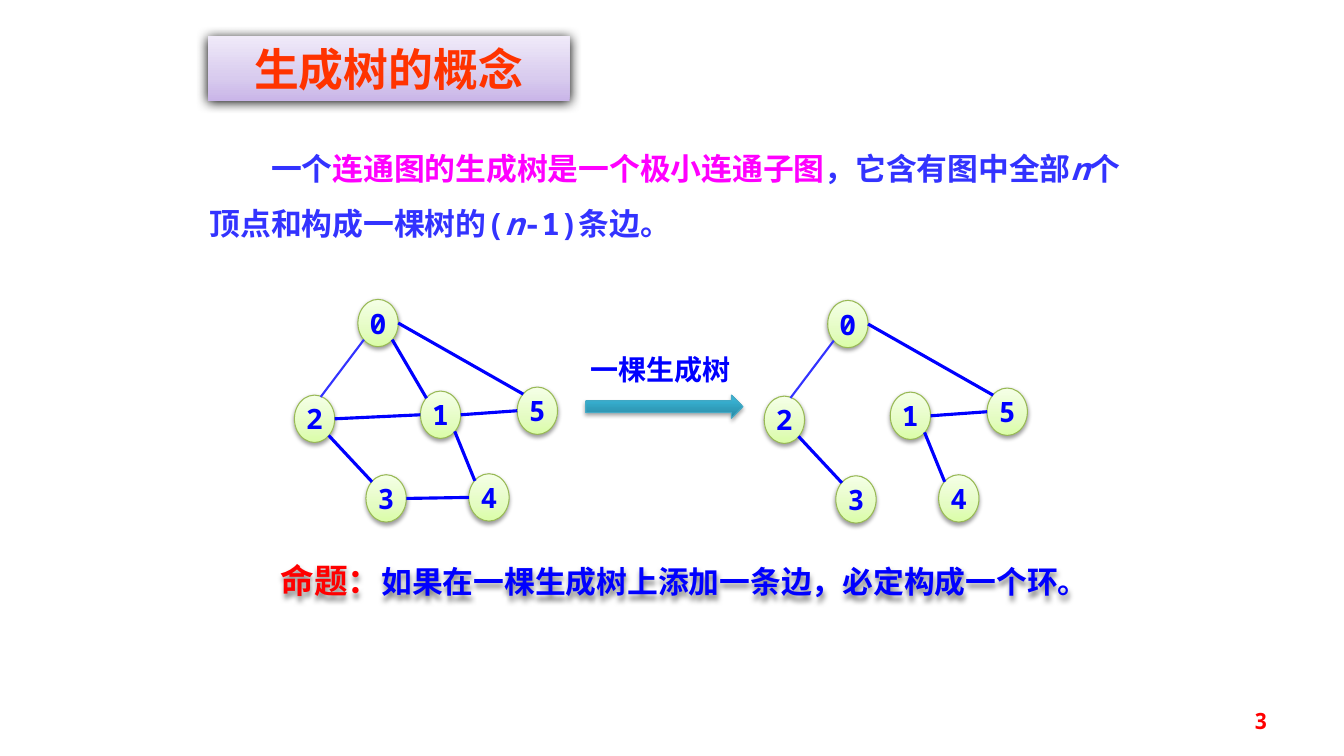
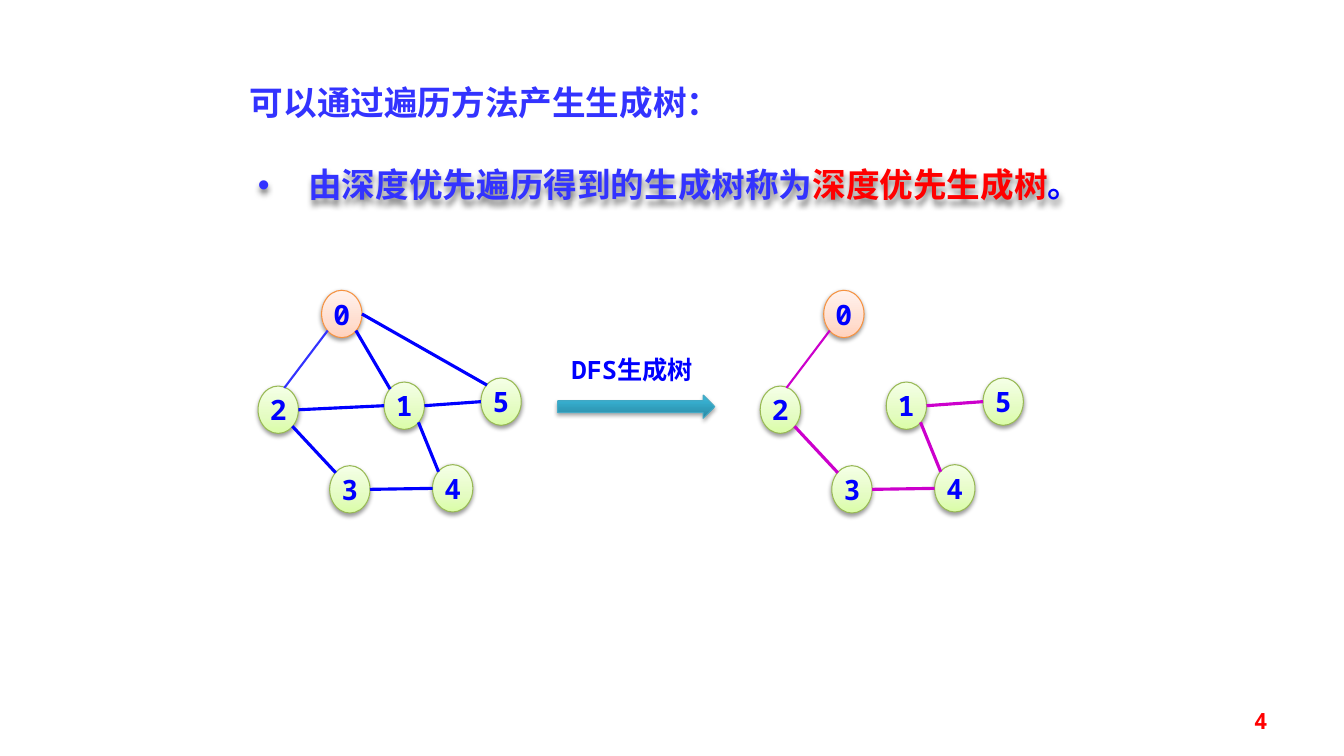
"""Build two slides on spanning trees and depth-first spanning trees."""
import pptx
import pptx.dml.color
import pptx.enum.shapes
import pptx.enum.text
import pptx.oxml
import pptx.oxml.ns
import pptx.util

Inches = pptx.util.Inches
Pt = pptx.util.Pt
rgb = pptx.dml.color.RGBColor.from_string
qn = pptx.oxml.ns.qn
SHAPE = pptx.enum.shapes.MSO_SHAPE
LINE = pptx.enum.shapes.MSO_CONNECTOR.STRAIGHT
ALIGN = pptx.enum.text.PP_ALIGN
MIDDLE = pptx.enum.text.MSO_ANCHOR.MIDDLE

SERIF, MONO, CJK = "Times New Roman", "Noto Sans Mono", "Noto Sans CJK SC"
BLUE, INDIGO, RED, MAGENTA, PURPLE = "0000FF", "3333FF", "FF0000", "FF00FF", "CC00CC"

LILAC = [(0, "C9B5E8"), (35, "D8CBEE"), (100, "F0EAF9")]
GREEN = [(0, "DAFDA7"), (35, "E4FCC2"), (100, "F5FFE7")]
ORANGE = [(0, "FFD2BD"), (35, "FFDED0"), (100, "FFF2ED")]
TEAL = [(0, "2A88A2"), (80, "37B1D2"), (100, "34B4D6")]
TITLE_SHADOW, NODE_SHADOW = (100, 8.5, 1), (38, 3.1, 1.6)
ARROW_SHADOW, TEXT_SHADOW = (35, 3.1, 1.8), (50, 4, 3)

NODE_W, NODE_H = 0.4, 0.47
NODES = [(0.63, 0), (1.25, 0.91), (0, 0.95), (0.71, 1.74), (1.73, 1.73), (2.21, 0.87)]
SITES = {"E": (1, 0.5), "W": (0, 0.5), "NW": (0.15, 0.15), "SW": (0.15, 0.85),
         "SE": (0.85, 0.85), "NNE": (0.65, 0.04)}
EDGES = {
    "0-2": ("SW", "NNE"), "2-3": ("SE", "NW"), "0-1": ("SE", "NW"), "2-1": ("E", "W"),
    "1-5": ("E", "W"), "1-4": ("SE", "NW"), "3-4": ("E", "W"), "0-5": ("E", "NW"),
}


def write(sp, runs, size, align=ALIGN.LEFT):
    """Fill a shape with one bold paragraph of (text, font, colour) runs."""
    tf = sp.text_frame
    tf.word_wrap = True
    tf.vertical_anchor = MIDDLE
    p = tf.paragraphs[0]
    p.alignment = align
    for text, font, colour in runs:
        r = p.add_run()
        r.text = text
        r.font.size = Pt(size)
        r.font.bold = True
        r.font.italic = text == "n"
        r.font.name = font
        r.font.color.rgb = rgb(colour)
        ea = pptx.oxml.parse_xml(f'<a:ea {pptx.oxml.ns.nsdecls("a")} typeface="{CJK}"/>')
        r._r.rPr.find(qn("a:latin")).addnext(ea)
    return p


def dress(sp, shadow, stops=None, line=None):
    """Give a shape its soft shadow, upward gradient and outline."""
    ns = pptx.oxml.ns.nsdecls("a")
    if stops:
        sp.fill.gradient()
        sp.fill.gradient_angle = 90
        gs_list = sp._element.spPr.find(".//" + qn("a:gsLst"))
        for gs in list(gs_list):
            gs_list.remove(gs)
        for pos, colour in stops:
            gs_list.append(pptx.oxml.parse_xml(
                f'<a:gs {ns} pos="{pos * 1000}"><a:srgbClr val="{colour}"/></a:gs>'))
    if line:
        sp.line.color.rgb = rgb(line)
        sp.line.width = Pt(0.75)
    else:
        sp.line.fill.background()
    sp.shadow.inherit = False
    alpha, blur, dist = shadow
    sp._element.spPr.find(qn("a:effectLst")).append(pptx.oxml.parse_xml(
        f'<a:outerShdw {ns} blurRad="{Pt(blur)}" dist="{Pt(dist)}" dir="5400000" '
        f'algn="ctr" rotWithShape="0"><a:srgbClr val="000000">'
        f'<a:alpha val="{alpha * 1000}"/></a:srgbClr></a:outerShdw>'))


prs = pptx.Presentation()
prs.slide_width, prs.slide_height = Inches(13.33), Inches(7.5)

ALL_EDGES = list(EDGES)
SLIDES = [
    {"number": "3", "root": (GREEN, "98B955"), "arrow_x": 5.81,
     "label": ("一棵生成树", SERIF, 20),
     "graphs": [(2.92, 2.97, ALL_EDGES, INDIGO, BLUE),
                (7.58, 2.98, ["0-2", "2-3", "1-5", "1-4", "0-5"], INDIGO, BLUE)]},
    {"number": "4", "root": (ORANGE, "F69240"), "arrow_x": 5.53,
     "label": ("DFS生成树", MONO, 18),
     "graphs": [(2.56, 2.88, ALL_EDGES, INDIGO, BLUE),
                (7.54, 2.88, ["0-2", "2-3", "1-5", "1-4", "3-4"], PURPLE, PURPLE)]},
]

for page in SLIDES:
    s = prs.slides.add_slide(prs.slide_layouts[6])

    for left, top, edges, thin_colour, colour in page["graphs"]:
        for i, (x, y) in enumerate(NODES):
            sp = s.shapes.add_shape(SHAPE.OVAL, Inches(left + x), Inches(top + y),
                                    Inches(NODE_W), Inches(NODE_H))
            stops, outline = page["root"] if i == 0 else (GREEN, "98B955")
            dress(sp, NODE_SHADOW, stops, outline)
            write(sp, [(str(i), MONO, BLUE)], 20, ALIGN.CENTER)
            tf = sp.text_frame
            tf.word_wrap = False
            tf.margin_left = tf.margin_right = tf.margin_top = tf.margin_bottom = 0
        for edge in edges:
            ends = []
            for node, site in zip(edge.split("-"), EDGES[edge]):
                x, y = NODES[int(node)]
                fx, fy = SITES[site]
                ends += [Inches(left + x + fx * NODE_W), Inches(top + y + fy * NODE_H)]
            cxn = s.shapes.add_connector(LINE, *ends)
            thin = edge == "0-2"
            cxn.line.color.rgb = rgb(thin_colour if thin else colour)
            cxn.line.width = Pt(1.5 if thin else 2.25)
            cxn._element.spPr.append(pptx.oxml.parse_xml(
                f'<a:effectLst {pptx.oxml.ns.nsdecls("a")}/>'))

    arrow_x = page["arrow_x"]
    sp = s.shapes.add_shape(SHAPE.RIGHT_ARROW, Inches(arrow_x), Inches(3.92),
                            Inches(1.56), Inches(0.23))
    dress(sp, ARROW_SHADOW, TEAL, "46AAC5")
    text, font, size = page["label"]
    sp = s.shapes.add_textbox(Inches(arrow_x - 0.16), Inches(3.45), Inches(1.8), Inches(0.42))
    write(sp, [(text, font, BLUE)], size, ALIGN.CENTER)

    sp = s.shapes.add_textbox(Inches(9.56), Inches(6.95), Inches(3.11), Inches(0.4))
    write(sp, [(page["number"], MONO, RED)], 16, ALIGN.RIGHT)

concept, dfs = prs.slides

sp = concept.shapes.add_shape(SHAPE.RECTANGLE, Inches(2.06), Inches(0.36),
                              Inches(3.59), Inches(0.64))
dress(sp, TITLE_SHADOW, LILAC)
write(sp, [("生成树的概念", SERIF, "FF3300")], 32, ALIGN.CENTER)

sp = concept.shapes.add_textbox(Inches(1.98), Inches(1.26), Inches(9.42), Inches(1.15))
p = write(sp, [("一个", MONO, INDIGO),
               ("连通图的生成树是一个极小连通子图", MONO, MAGENTA),
               ("，它含有图中全部", MONO, INDIGO),
               ("n", MONO, INDIGO),
               ("个顶点和构成一棵树的(", MONO, INDIGO),
               ("n", MONO, INDIGO),
               ("-1)条边。", MONO, INDIGO)], 22)
p.line_spacing = Pt(39)
p._p.get_or_add_pPr().set("indent", str(Pt(44)))
sp.text_frame.vertical_anchor = pptx.enum.text.MSO_ANCHOR.TOP

sp = concept.shapes.add_textbox(Inches(2.14), Inches(5.5), Inches(9.3), Inches(0.5))
p = write(sp, [("命题：", CJK, RED)], 24, ALIGN.CENTER)
write(sp, [("如果在一棵生成树上添加一条边，必定构成一个环。", SERIF, BLUE)], 22, ALIGN.CENTER)
dress(sp, TEXT_SHADOW)

sp = dfs.shapes.add_textbox(Inches(2.38), Inches(0.76), Inches(7.58), Inches(0.5))
write(sp, [("可以通过遍历方法产生生成树：", SERIF, INDIGO)], 24)

sp = dfs.shapes.add_textbox(Inches(2.46), Inches(1.58), Inches(8.52), Inches(0.5))
p = write(sp, [("由深度优先遍历得到的生成树称为", SERIF, INDIGO),
               ("深度优先生成树", SERIF, RED),
               ("。", SERIF, BLUE)], 24)
dress(sp, TEXT_SHADOW)
pPr = p._p.get_or_add_pPr()
pPr.set("marL", str(Inches(0.5)))
pPr.set("indent", str(Inches(-0.5)))
for bullet in ('buFont {} typeface="Arial"', 'buChar {} char="•"'):
    pPr.append(pptx.oxml.parse_xml(f'<a:{bullet.format(pptx.oxml.ns.nsdecls("a"))}/>'))

prs.save("out.pptx")
